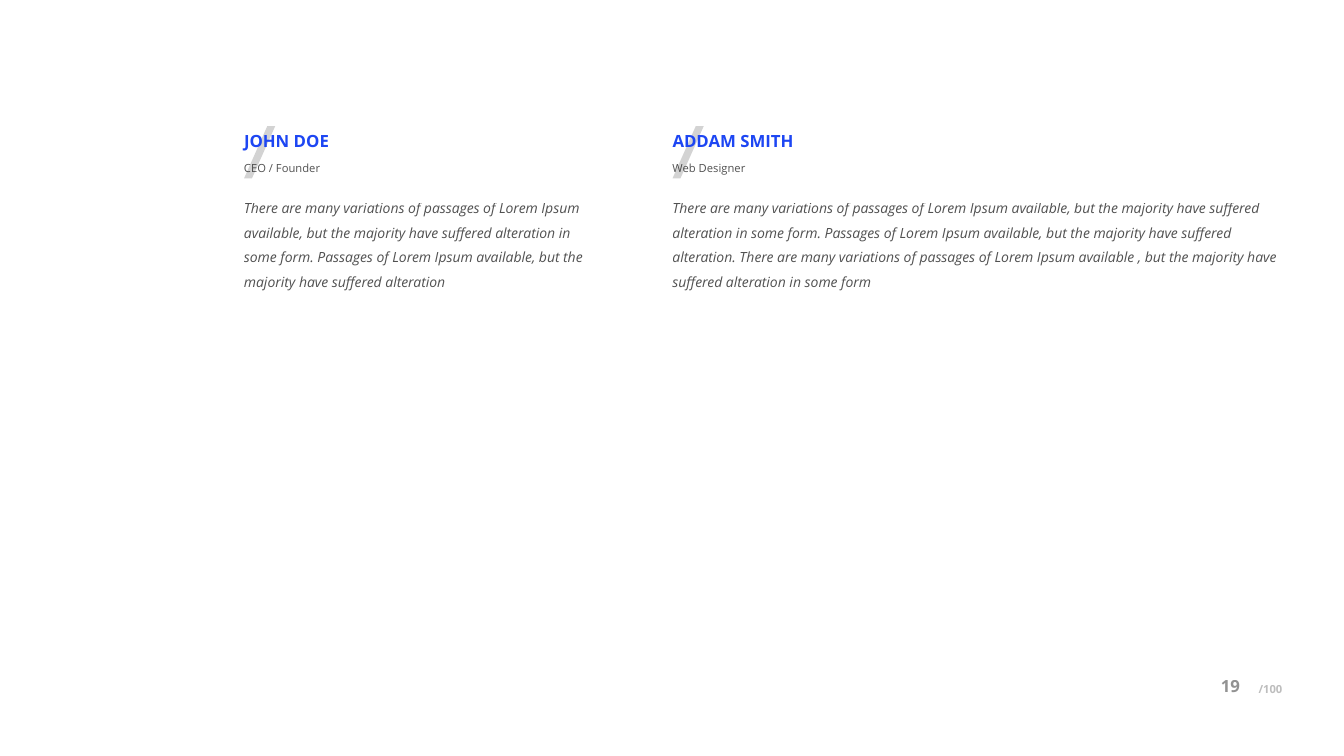
from pptx import Presentation
from pptx.dml.color import RGBColor
from pptx.enum.shapes import MSO_SHAPE as Shape
from pptx.enum.text import MSO_ANCHOR as Anchor, PP_ALIGN as Align
from pptx.oxml.ns import qn
from pptx.util import Inches, Pt
from lxml.etree import SubElement

FONT, INK, ACCENT = "Open Sans", "262626", "1D46F3"
PEOPLE = [
    {
        "name": "JOHN DOE",
        "role": "CEO / Founder",
        "bio": "There are many variations of passages of Lorem Ipsum available, "
               "but the majority have suffered alteration in some form. "
               "Passages of Lorem Ipsum available, but the majority have "
               "suffered alteration",
        "left": 2.42, "bio_width": 3.46, "name_width": 0.85,
    },
    {
        "name": "ADDAM SMITH",
        "role": "Web Designer",
        "bio": "There are many variations of passages of Lorem Ipsum available, "
               "but the majority have suffered alteration in some form. "
               "Passages of Lorem Ipsum available, but the majority have "
               "suffered alteration. There are many variations of passages of "
               "Lorem Ipsum available , but the majority have suffered "
               "alteration in some form",
        "left": 6.67, "bio_width": 6.04, "name_width": 1.22,
    },
]
PAGE, TOTAL = "19", "/100"
TOP, ROLE_DROP, BIO_DROP = 1.25, 0.24, 0.61
ROLE_WIDTH, LINE_HEIGHT, BIO_HEIGHT = 3.46, 0.3, 1.48
SLASH_WIDTH, SLASH_HEIGHT, SLASH_SLANT = 0.31, 0.52, 0.747
PAGE_WIDTH, PAGE_HEIGHT = 0.56, 0.25


def paint(fill, color, opacity=100):
    fill.solid()
    fill.fore_color.rgb = RGBColor.from_string(color)
    if opacity < 100:
        tone = fill._xPr.find(qn("a:solidFill"))[0]
        SubElement(tone, qn("a:alpha")).set("val", str(opacity * 1000))


def add_text(slide, text, box, size, color=INK, opacity=100, bold=False,
             italic=False, spacing=None, align=Align.LEFT, anchor=Anchor.TOP,
             pad=0.05, wrap=True):
    frame = slide.shapes.add_textbox(*map(Inches, box)).text_frame
    frame.word_wrap = wrap
    frame.vertical_anchor = anchor
    frame.margin_left = frame.margin_right = 0
    frame.margin_top = frame.margin_bottom = Inches(pad)
    paragraph = frame.paragraphs[0]
    paragraph.alignment = align
    paragraph.line_spacing = spacing
    run = paragraph.add_run()
    run.text = text
    run.font.name, run.font.size = FONT, Pt(size)
    run.font.bold, run.font.italic = bold, italic
    paint(run.font.fill, color, opacity)


def add_slash(slide, left):
    slash = slide.shapes.add_shape(
        Shape.PARALLELOGRAM,
        *map(Inches, (left, TOP, SLASH_WIDTH, SLASH_HEIGHT)))
    slash.adjustments[0] = SLASH_SLANT
    slash.shadow.inherit = False
    slash.line.fill.background()
    paint(slash.fill, INK, 20)


def add_person(slide, person):
    left = person["left"]
    add_slash(slide, left)
    add_text(slide, person["name"],
             (left, TOP, person["name_width"], LINE_HEIGHT),
             12, color=ACCENT, bold=True, wrap=False)
    add_text(slide, person["role"],
             (left, TOP + ROLE_DROP, ROLE_WIDTH, LINE_HEIGHT),
             8, opacity=80, spacing=1.45)
    add_text(slide, person["bio"],
             (left, TOP + BIO_DROP, person["bio_width"], BIO_HEIGHT),
             10, opacity=80, italic=True, spacing=1.45)


def main():
    deck = Presentation()
    deck.slide_width, deck.slide_height = Inches(13.33), Inches(7.5)
    slide = deck.slides.add_slide(deck.slide_layouts[6])
    for person in PEOPLE:
        add_person(slide, person)
    add_text(slide, TOTAL, (12.16, 6.71, PAGE_WIDTH, PAGE_HEIGHT), 8,
             opacity=30, bold=True, align=Align.RIGHT,
             anchor=Anchor.MIDDLE, pad=0)
    add_text(slide, PAGE, (12.11, 6.68, PAGE_WIDTH, PAGE_HEIGHT), 12,
             opacity=50, bold=True, anchor=Anchor.MIDDLE, pad=0)
    deck.save("out.pptx")


if __name__ == "__main__":
    main()
